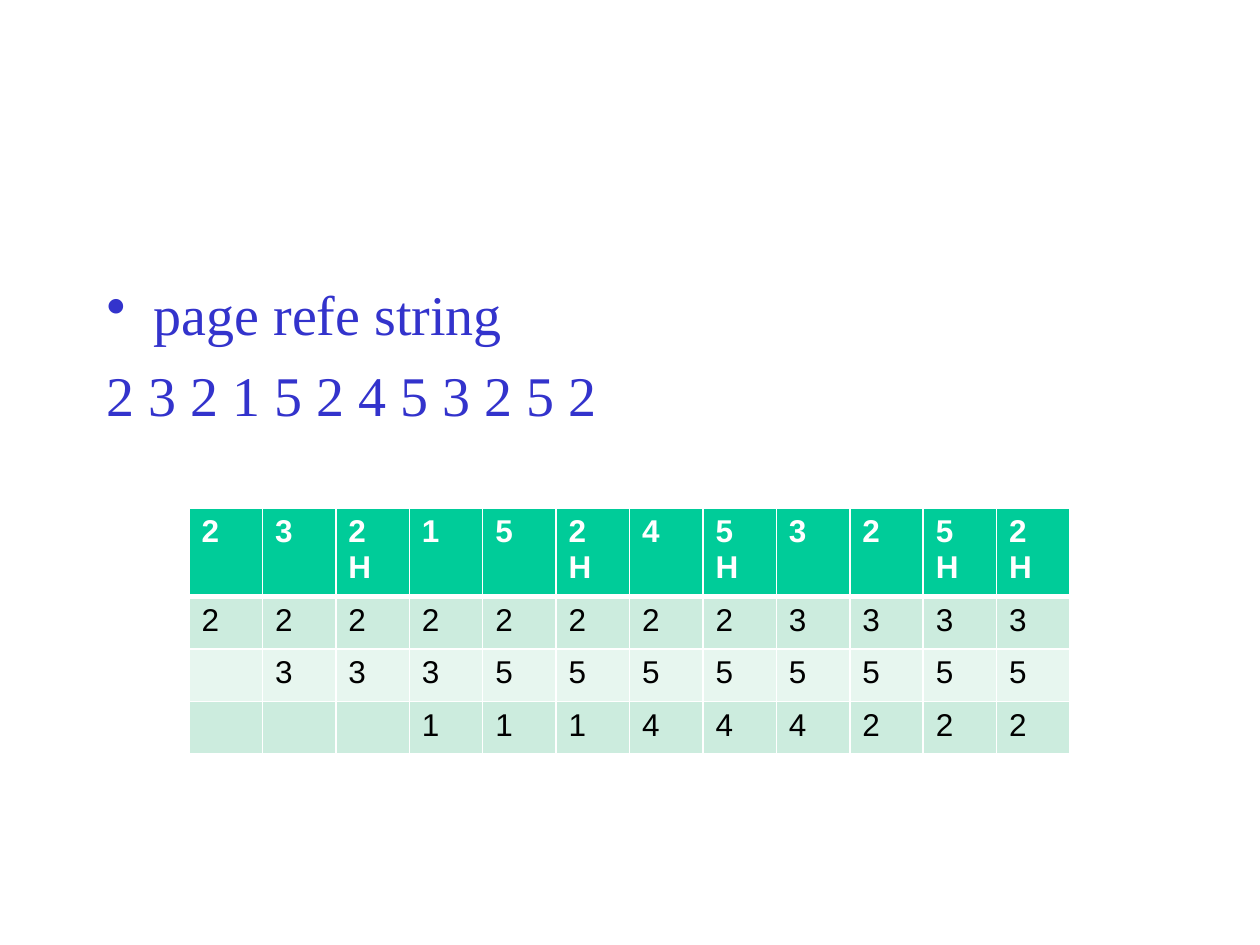
from lxml import etree
from pptx import Presentation
from pptx import util as u
from pptx.dml.color import RGBColor
from pptx.oxml import ns

BLUE = RGBColor(0x33, 0x33, 0xCC)
GREEN = RGBColor(0x00, 0xCC, 0x99)
MINT = RGBColor(0xCC, 0xEC, 0xDE)
PALE_MINT = RGBColor(0xE7, 0xF6, 0xEF)
WHITE = RGBColor(0xFF, 0xFF, 0xFF)
BLACK = RGBColor(0x00, 0x00, 0x00)

REFERENCES = ["2", "3", "2 H", "1", "5", "2 H", "4", "5 H", "3", "2", "5 H", "2 H"]
# One string per memory frame, one character per reference
FRAMES = ["222222223333", " 33355555555", "   111444222"]


def style_font(font, name, size, color, bold=False):
    font.name = name
    font.size = u.Pt(size)
    font.bold = bold
    font.color.rgb = color


def add_bullet(para, indent):
    properties = para._p.get_or_add_pPr()
    properties.set("marL", str(indent))
    properties.set("indent", str(-indent))
    etree.SubElement(properties, ns.qn("a:buChar"), char="•")


def add_body(page):
    box = page.shapes.add_textbox(u.Cm(1.9), u.Cm(5.51), u.Cm(21.59), u.Cm(11.43))
    frame = box.text_frame
    frame.word_wrap = True
    references = " ".join(reference[0] for reference in REFERENCES)
    frame.text = f"page refe string\n{references}"
    for para in frame.paragraphs:
        para.space_before = u.Pt(7.7)
        style_font(para.runs[0].font, "Times New Roman", 32, BLUE)
    add_bullet(frame.paragraphs[0], u.Cm(0.95))


def set_borders(cell, top=1, bottom=1):
    """Draw white cell borders, with widths in points."""
    properties = cell._tc.get_or_add_tcPr()
    widths = {"lnL": 1, "lnR": 1, "lnT": top, "lnB": bottom}
    for position, (side, width) in enumerate(widths.items()):
        line = etree.Element(ns.qn(f"a:{side}"), w=str(u.Pt(width)))
        fill = etree.SubElement(line, ns.qn("a:solidFill"))
        etree.SubElement(fill, ns.qn("a:srgbClr"), val=str(WHITE))
        properties.insert(position, line)


def fill_cell(cell, words, color, font_color, bold):
    cell.fill.solid()
    cell.fill.fore_color.rgb = color
    cell.text = words
    para = cell.text_frame.paragraphs[0]
    for font in [para.font] + [span.font for span in para.runs]:
        style_font(font, "Arial", 18, font_color, bold)


def add_frame_table(page):
    rows = [REFERENCES] + [list(frame) for frame in FRAMES]
    table = page.shapes.add_table(
        len(rows), len(REFERENCES), u.Cm(3.81), u.Cm(10.24), u.Cm(17.76), u.Cm(4.27)
    ).table
    for column in table.columns:
        column.width = u.Cm(1.48)
    for index, values in enumerate(rows):
        header = index == 0
        table.rows[index].height = u.Cm(1.09 if header else 1.06)
        color = GREEN if header else (MINT if index % 2 else PALE_MINT)
        for cell, value in zip(table.rows[index].cells, values):
            fill_cell(cell, value.strip(), color, WHITE if header else BLACK, header)
            set_borders(cell, top=3 if index == 1 else 1, bottom=3 if header else 1)


def main():
    deck = Presentation()
    deck.slide_width, deck.slide_height = u.Cm(25.4), u.Cm(19.05)
    page = deck.slides.add_slide(deck.slide_layouts[6])
    add_body(page)
    add_frame_table(page)
    deck.save("out.pptx")


if __name__ == "__main__":
    main()
